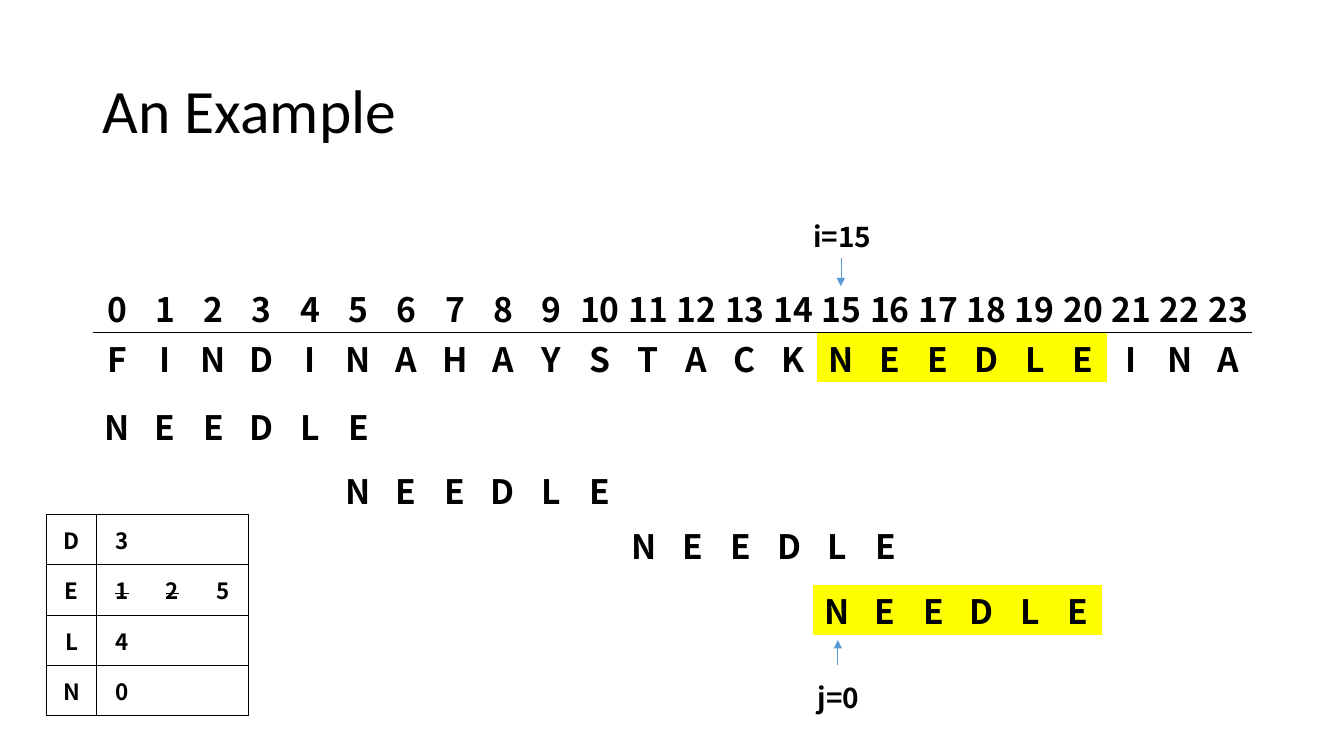
"""Build a slide that traces a Boyer-Moore substring search."""
from lxml import etree
from pptx import Presentation
from pptx.dml.color import RGBColor
from pptx.enum.shapes import MSO_CONNECTOR
from pptx.enum.text import MSO_ANCHOR, PP_ALIGN
from pptx.oxml.ns import qn
from pptx.util import Inches, Pt

STRAIGHT = MSO_CONNECTOR.STRAIGHT
MIDDLE = MSO_ANCHOR.MIDDLE
LEFT, CENTER = PP_ALIGN.LEFT, PP_ALIGN.CENTER
BLACK = RGBColor(0x00, 0x00, 0x00)
YELLOW = RGBColor(0xFF, 0xFF, 0x00)
BLUE = RGBColor(0x5B, 0x9B, 0xD5)
TITLE_FONT, CELL_FONT = "Calibri", "Noto Sans CJK SC"

HEADING = "An Example"
HAYSTACK = "FINDINAHAYSTACKNEEDLEINA"
NEEDLE = "NEEDLE"
MATCH = HAYSTACK.index(NEEDLE)
ALIGNMENTS = [(0.92, 3.97, False), (3.31, 4.6, False),
              (6.15, 5.15, False), (8.06, 5.8, True)]
LAST_SEEN = [("D", "3", "", ""), ("E", "1", "2", "5"),
             ("L", "4", "", ""), ("N", "0", "", "")]
SUPERSEDED = {(1, 1), (1, 2)}
POINTERS = [("i=15", 7.97, 2.08, 0.77), ("j=0", 7.96, 6.65, 0.71)]
ARROWS = [(8.34, 2.56, 2.84), (8.31, 6.6, 6.35)]

LETTER_WIDTH = 11.5 / len(HAYSTACK)
ROW_HEIGHT = 0.5


def draw_borders(cell, sides):
    """Draw the named sides of a cell and clear the others."""
    properties = cell._tc.get_or_add_tcPr()
    for side in "LRTB":
        border = etree.SubElement(properties, qn(f"a:ln{side}"), w=str(Pt(0.5)))
        if side in sides:
            solid = etree.SubElement(border, qn("a:solidFill"))
            etree.SubElement(solid, qn("a:srgbClr"), val=str(BLACK))
        else:
            etree.SubElement(border, qn("a:noFill"))


def add_grid(slide, rows, left, top, column_width, size, row_height=ROW_HEIGHT,
             sides=lambda row, column: "", highlight=(), struck=()):
    """Add a table of centred bold text."""
    width, height = column_width * len(rows[0]), row_height * len(rows)
    grid = slide.shapes.add_table(len(rows), len(rows[0]), Inches(left), Inches(top),
                                  Inches(width), Inches(height)).table
    grid.first_row = grid.horz_banding = False
    for column in grid.columns:
        column.width = Inches(column_width)
    for r, row in enumerate(rows):
        grid.rows[r].height = Inches(row_height)
        for c, words in enumerate(row):
            cell = grid.cell(r, c)
            cell.margin_left = cell.margin_right = cell.margin_top = Inches(0.01)
            cell.margin_bottom = 0
            cell.vertical_anchor = MIDDLE
            draw_borders(cell, sides(r, c))
            if (r, c) in highlight:
                cell.fill.solid()
                cell.fill.fore_color.rgb = YELLOW
            else:
                cell.fill.background()
            cell.text_frame.text = words
            paragraph = cell.text_frame.paragraphs[0]
            paragraph.alignment = CENTER
            for run in paragraph.runs:
                style_font(run.font, CELL_FONT, size, True)
                if (r, c) in struck:
                    run.font._element.set("strike", "sngStrike")


def style_font(font, name, size, bold):
    """Set a font in black."""
    font.name, font.size, font.bold = name, Pt(size), bold
    font.color.rgb = BLACK


def add_arrow(slide, x, start, end):
    """Add a vertical arrow from start to end."""
    arrow = slide.shapes.add_connector(STRAIGHT, Inches(x), Inches(start),
                                       Inches(x), Inches(end))
    arrow.line.color.rgb = BLUE
    arrow.line.width = Pt(0.5)
    etree.SubElement(arrow.line._get_or_add_ln(), qn("a:tailEnd"), type="triangle")
    etree.SubElement(arrow._element.spPr, qn("a:effectLst"))


def add_heading(slide):
    """Place the slide title."""
    title = slide.shapes.title
    title.left, title.top = Inches(0.92), Inches(0.4)
    title.width, title.height = Inches(11.5), Inches(1.45)
    title.text_frame.text = HEADING
    title.text_frame.vertical_anchor = MIDDLE
    paragraph = title.text_frame.paragraphs[0]
    paragraph.alignment, paragraph.line_spacing = LEFT, 0.9
    style_font(paragraph.runs[0].font, TITLE_FONT, 44, False)


def last_seen_sides(row, column):
    """Frame the letter column and the value columns as two blocks."""
    return ("LRTB", "LTB", "TB", "RTB")[column]


def main():
    """Build and save the slide."""
    deck = Presentation()
    deck.slide_width, deck.slide_height = Inches(13.33), Inches(7.5)
    slide = deck.slides.add_slide(deck.slide_layouts[5])
    add_heading(slide)

    indices = [str(i) for i in range(len(HAYSTACK))]
    match_cells = {(1, MATCH + i) for i in range(len(NEEDLE))}
    add_grid(slide, [indices, HAYSTACK], 0.92, 2.8, LETTER_WIDTH, 24, 0.48,
             sides=lambda row, column: "BT"[row], highlight=match_cells)
    for left, top, found in ALIGNMENTS:
        found_cells = {(0, i) for i in range(len(NEEDLE))} if found else ()
        add_grid(slide, [NEEDLE], left, top, LETTER_WIDTH, 24, highlight=found_cells)
    add_grid(slide, LAST_SEEN, 0.46, 5.1, 0.5, 16,
             sides=last_seen_sides, struck=SUPERSEDED)
    for label, left, top, width in POINTERS:
        add_grid(slide, [[label]], left, top, width, 20)
    for x, start, end in ARROWS:
        add_arrow(slide, x, start, end)
    deck.save("out.pptx")


if __name__ == "__main__":
    main()
